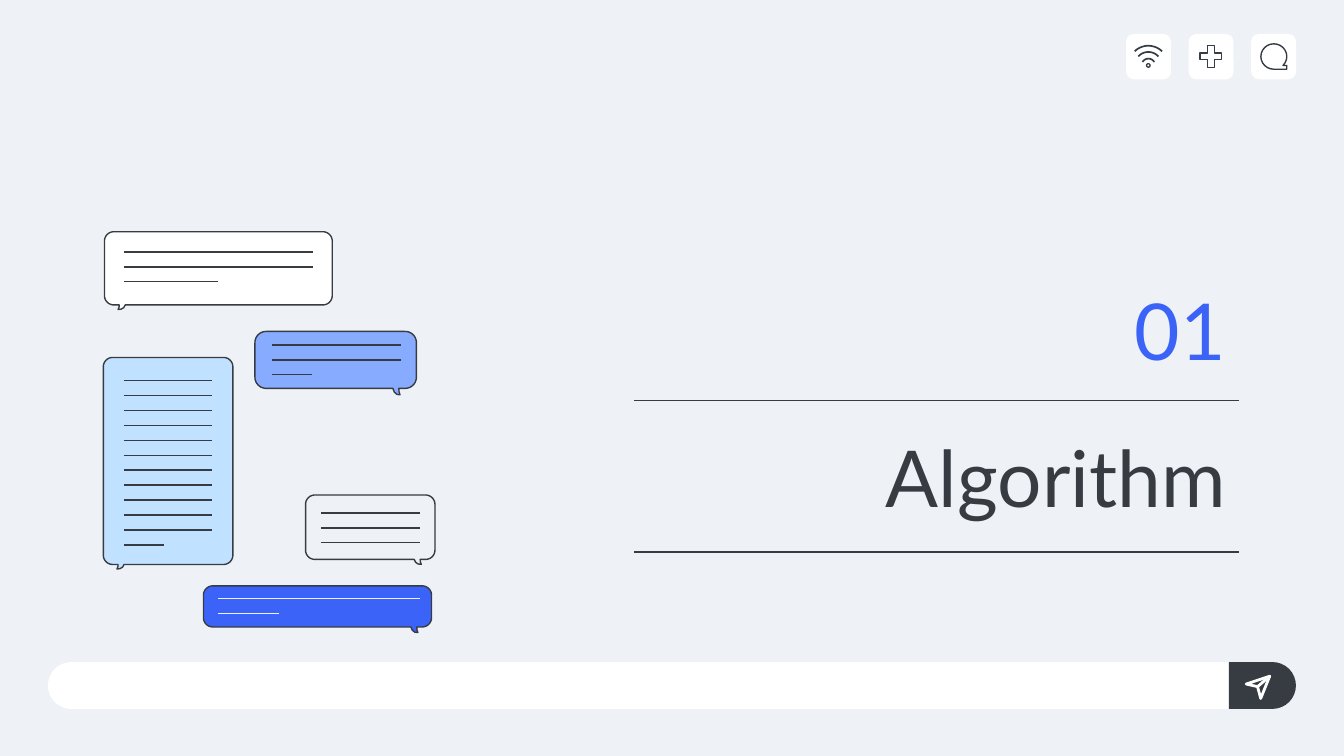
from dataclasses import dataclass
from math import cos, radians, sin

from pptx import Presentation
from pptx.dml.color import RGBColor
from pptx.enum.shapes import MSO_CONNECTOR, MSO_SHAPE
from pptx.enum.text import MSO_ANCHOR, MSO_AUTO_SIZE, PP_ALIGN
from pptx.oxml.xmlchemy import OxmlElement
from pptx.util import Pt

STRAIGHT = MSO_CONNECTOR.STRAIGHT
ROUNDED = MSO_SHAPE.ROUNDED_RECTANGLE
PLUS = MSO_SHAPE.MATH_PLUS
SPEECH = MSO_SHAPE.FLOWCHART_SEQUENTIAL_ACCESS_STORAGE
RING = MSO_SHAPE.DONUT
MIDDLE, BOTTOM = MSO_ANCHOR.MIDDLE, MSO_ANCHOR.BOTTOM
RIGHT = PP_ALIGN.RIGHT
NO_AUTOFIT = MSO_AUTO_SIZE.NONE


@dataclass(frozen=True)
class Theme:
    paper: str = "EEF1F5"
    white: str = "FFFFFF"
    ink: str = "373B42"
    accent: str = "3B63F8"
    mid_blue: str = "87ABFF"
    pale_blue: str = "C0E1FF"
    font: str = "Lato"
    heading: float = 42
    hairline: float = 0.75
    icon_stroke: float = 1.5
    margin: float = 7.2


def arc(cx, cy, radius, start, end, steps=16):
    """Points along a circle; angles in degrees, clockwise from the right."""
    angles = [radians(start + (end - start) * i / steps) for i in range(steps + 1)]
    return [(cx + radius * cos(a), cy + radius * sin(a)) for a in angles]


class SlideBuilder:
    def __init__(self, slide, theme):
        self.slide = slide
        self.theme = theme
        slide.background.fill.solid()
        slide.background.fill.fore_color.rgb = RGBColor.from_string(theme.paper)

    def paint(self, shape, fill=None, line=None, width=None):
        shape.shadow.inherit = False
        if fill:
            shape.fill.solid()
            shape.fill.fore_color.rgb = RGBColor.from_string(fill)
        else:
            shape.fill.background()
        if line:
            shape.line.color.rgb = RGBColor.from_string(line)
            shape.line.width = Pt(width or self.theme.hairline)
        else:
            shape.line.fill.background()

    def preset(self, kind, box, fill=None, line=None, adjust=None):
        shape = self.slide.shapes.add_shape(kind, *map(Pt, box))
        if adjust is not None:
            shape.adjustments[0] = adjust
        self.paint(shape, fill, line)

    def outline(self, points, fill=None, line=None, width=None):
        corners = [(Pt(x), Pt(y)) for x, y in points]
        builder = self.slide.shapes.build_freeform(*corners[0], scale=1.0)
        builder.add_line_segments(corners[1:], close=True)
        self.paint(builder.convert_to_shape(), fill, line, width)

    def rule(self, x1, y1, x2, y2, color, width=None):
        connector = self.slide.shapes.add_connector(
            STRAIGHT, Pt(x1), Pt(y1), Pt(x2), Pt(y2))
        connector.line.color.rgb = RGBColor.from_string(color)
        connector.line.width = Pt(width or self.theme.hairline)
        connector._element.spPr.append(OxmlElement("a:effectLst"))

    def heading(self, placeholder, text, box, color, anchor):
        placeholder.left, placeholder.top, placeholder.width, placeholder.height = map(Pt, box)
        frame = placeholder.text_frame
        frame.text = text
        frame.word_wrap = True
        frame.auto_size = NO_AUTOFIT
        frame.vertical_anchor = anchor
        frame.margin_left = frame.margin_right = Pt(self.theme.margin)
        frame.margin_top = frame.margin_bottom = Pt(self.theme.margin)
        paragraph = frame.paragraphs[0]
        paragraph.alignment = RIGHT
        paragraph.space_before = Pt(0)
        font = paragraph.runs[0].font
        font.name, font.size = self.theme.font, Pt(self.theme.heading)
        font.color.rgb = RGBColor.from_string(color)

    def bubble(self, box, fill, tail_on_right, drop, inset=7.9, radius=5):
        """Rounded message box with a small hooked tail under its bottom edge."""
        left, top, width, height = box
        right, bottom = left + width, top + height
        r = radius
        hook = [(inset, 0), (inset - 0.1, drop / 2), (inset - 0.6, drop),
                (inset + 1, drop * 0.95), (inset + 2.4, drop * 0.6), (inset + 3.2, 0)]
        if tail_on_right:
            tail = [(right - x, bottom + y) for x, y in hook]
        else:
            tail = [(left + x, bottom + y) for x, y in reversed(hook)]
        self.outline(
            arc(left + r, top + r, r, 180, 270) + arc(right - r, top + r, r, 270, 360)
            + arc(right - r, bottom - r, r, 0, 90) + tail
            + arc(left + r, bottom - r, r, 90, 180),
            fill, self.theme.ink)

    def message_lines(self, left, right, last_right, top, count, color):
        for i in range(count):
            y = top + 8 * i
            self.rule(left, y, last_right if i == count - 1 else right, y, color)

    def wifi(self, cx, cy):
        for radius, sweep in ((11, 44), (7.7, 48), (4.1, 60)):
            start, end = -90 - sweep, -90 + sweep
            self.outline(arc(cx, cy, radius, start, end)
                         + arc(cx, cy, radius - 0.9, end, start), self.theme.ink)
        self.preset(RING, (cx - 1.3, cy - 1.3, 2.6, 2.6), self.theme.ink, adjust=0.28)


def main():
    theme = Theme()
    deck = Presentation()
    deck.slide_width, deck.slide_height = Pt(720), Pt(405)
    slide = deck.slides.add_slide(deck.slide_layouts[0])
    page = SlideBuilder(slide, theme)

    # Icon tiles at the top right
    for i in range(3):
        page.preset(ROUNDED, (603.3 + 33.5 * i, 18.2, 24, 24.3), theme.white, adjust=0.167)
    page.wifi(615.2, 35.1)
    page.preset(PLUS, (640.8, 22.3, 15.8, 15.8), line=theme.ink, adjust=0.235)
    page.preset(SPEECH, (675.5, 23.5, 13.9, 13.6), line=theme.ink)

    # Message bar with send button
    page.preset(ROUNDED, (25.7, 354.7, 668.6, 25.1), theme.white, adjust=0.5)
    page.outline([(658.4, 354.7)] + arc(681.75, 367.25, 12.55, -90, 90)
                 + [(658.4, 379.8)], theme.ink)
    fold, nose = (673.7, 367.9), (680.2, 362.3)
    page.outline([(667.6, 366.5), nose, (675.4, 374.2), fold],
                 line=theme.white, width=theme.icon_stroke)
    page.rule(*fold, *nose, theme.white, theme.icon_stroke)

    # Section title and number
    page.heading(slide.shapes.title, "Algorithm", (319, 214.6, 344.8, 81.4),
                 theme.ink, MIDDLE)
    page.heading(slide.placeholders[1], "01", (566.6, 142.6, 97.2, 66.2),
                 theme.accent, BOTTOM)

    # Chat bubbles with their lines of writing
    page.bubble((56, 124.2, 122, 39.2), theme.white, False, 2.4)
    page.message_lines(66.2, 167.6, 116.7, 135, 3, theme.ink)
    page.bubble((55.4, 191.5, 69.4, 110.9), theme.pale_blue, False, 2.4)
    page.message_lines(66.2, 113.8, 88, 203.9, 12, theme.ink)
    page.bubble((109, 313.9, 122.2, 22), theme.accent, True, 3)
    page.message_lines(116.8, 225, 149.5, 320.6, 2, theme.paper)
    page.bubble((163.7, 265.2, 69.3, 34.5), theme.paper, True, 2.6)
    page.message_lines(172, 224.8, 224.8, 274.8, 3, theme.ink)
    page.bubble((136.6, 177.6, 86.5, 30.5), theme.mid_blue, True, 3.4, inset=9.4, radius=6)
    page.message_lines(145.8, 215, 167, 184.8, 3, theme.ink)

    # Rules around the title
    for y in (214.6, 295.7):
        page.rule(339.6, y, 663.8, y, theme.ink)

    deck.save("out.pptx")


if __name__ == "__main__":
    main()
